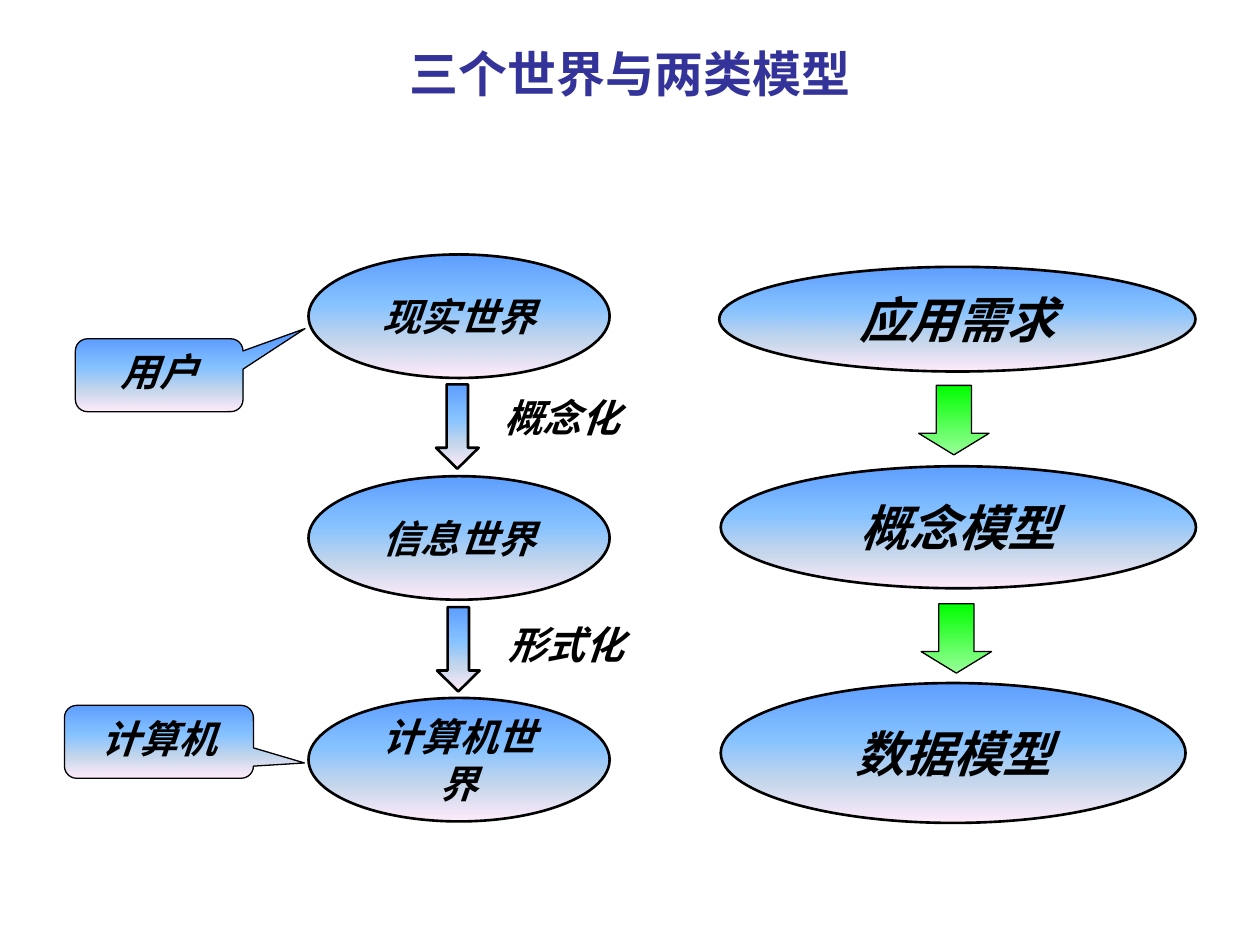
from dataclasses import dataclass

from pptx import Presentation
from pptx.dml.color import RGBColor
from pptx.enum.shapes import MSO_SHAPE
from pptx.enum.text import MSO_ANCHOR, PP_ALIGN
from pptx.oxml.ns import qn
from pptx.shapes.autoshape import Shape
from pptx.slide import Slide
from pptx.util import Cm, Pt
from lxml.etree import SubElement


@dataclass(frozen=True)
class Theme:
    ink: str = "000000"
    title: str = "333399"
    sky: tuple = ((0, "5E9EFF"), (40, "85C2FF"), (70, "C4D6EB"), (100, "FFEBFA"))
    green: tuple = ((0, "00FF00"), (100, "99FF99"))
    sans: str = "Arial"
    han: str = "Noto Sans CJK SC"
    big: int = 28
    small: int = 22
    thick: float = 1.5
    thin: float = 0.75


THEME = Theme()


@dataclass(frozen=True)
class Box:
    """Left, top, width and height in centimetres."""
    left: float
    top: float
    width: float
    height: float

    def place(self) -> tuple:
        return Cm(self.left), Cm(self.top), Cm(self.width), Cm(self.height)


@dataclass(frozen=True)
class Node:
    text: str
    box: Box
    size: int


@dataclass(frozen=True)
class Arrow:
    box: Box
    stops: tuple
    line: float
    head: float


@dataclass(frozen=True)
class Callout:
    text: str
    box: Box
    tip: tuple


def shade(shape: Shape, stops: tuple) -> None:
    """Fill from top to bottom with (percent, colour) stops."""
    shape.fill.gradient()
    shape.fill.gradient_angle = 270
    bands = shape._element.spPr.find(qn("a:gradFill")).find(qn("a:gsLst"))
    for old in list(bands):
        bands.remove(old)
    for at, color in stops:
        stop = SubElement(bands, qn("a:gs"), pos=str(at * 1000))
        SubElement(stop, qn("a:srgbClr"), val=color)


def write(shape: Shape, text: str, size: int, font: str, color: str = THEME.ink,
          italic: bool = True, anchor: MSO_ANCHOR = MSO_ANCHOR.TOP) -> None:
    frame = shape.text_frame
    frame.word_wrap = True
    frame.vertical_anchor = anchor
    para = frame.paragraphs[0]
    para.text = text
    para.alignment = PP_ALIGN.CENTER
    para.font.name = font
    para.font.size = Pt(size)
    para.font.bold = True
    para.font.italic = italic
    para.font.color.rgb = RGBColor.from_string(color)


def add_form(slide: Slide, kind: MSO_SHAPE, box: Box, stops: tuple,
             line: float) -> Shape:
    shape = slide.shapes.add_shape(kind, *box.place())
    shape.shadow.inherit = False
    shade(shape, stops)
    shape.line.color.rgb = RGBColor.from_string(THEME.ink)
    shape.line.width = Pt(line)
    return shape


def add_node(slide: Slide, node: Node) -> None:
    shape = add_form(slide, MSO_SHAPE.OVAL, node.box, THEME.sky, THEME.thick)
    write(shape, node.text, node.size, THEME.han, anchor=MSO_ANCHOR.MIDDLE)


def add_arrow(slide: Slide, arrow: Arrow) -> None:
    shape = add_form(slide, MSO_SHAPE.DOWN_ARROW, arrow.box, arrow.stops, arrow.line)
    shape.adjustments[0] = 0.5
    shape.adjustments[1] = arrow.head


def add_callout(slide: Slide, call: Callout) -> None:
    shape = add_form(slide, MSO_SHAPE.ROUNDED_RECTANGULAR_CALLOUT, call.box,
                     THEME.sky, THEME.thin)
    shape.adjustments[0], shape.adjustments[1] = call.tip
    write(shape, call.text, THEME.small, THEME.sans)


def add_label(slide: Slide, text: str, box: Box) -> None:
    label = slide.shapes.add_textbox(*box.place())
    frame = label.text_frame
    frame.margin_left = frame.margin_right = 0
    frame.margin_top = frame.margin_bottom = 0
    write(label, text, THEME.small, THEME.han)
    frame.word_wrap = False


WORLDS = [Node(text, Box(6.22, 5.13 + 4.47 * row, 6.07, 2.49), THEME.small)
          for row, text in enumerate(("现实世界", "信息世界", "计算机世界"))]
MODELS = [
    Node("应用需求", Box(14.5, 5.38, 9.6, 2.11), THEME.big),
    Node("概念模型", Box(14.53, 9.4, 9.58, 2.46), THEME.big),
    Node("数据模型", Box(14.53, 13.77, 9.37, 2.82), THEME.big),
]
ARROWS = [
    *(Arrow(Box(left, top, 0.86, 1.7), THEME.sky, THEME.thick, 0.49)
      for left, top in ((8.79, 7.75), (8.81, 12.24))),
    *(Arrow(Box(left, top, 1.42, 1.4), THEME.green, THEME.thin, 0.31)
      for left, top in ((18.52, 7.77), (18.57, 12.17))),
]
LABELS = [
    ("概念化", Box(10.16, 7.95, 2.34, 0.94)),
    ("形式化", Box(10.24, 12.52, 2.34, 0.94)),
]
CALLOUTS = [
    Callout("用户", Box(1.52, 6.83, 3.38, 1.47), (0.87, -0.64)),
    Callout("计算机", Box(1.3, 14.22, 3.81, 1.47), (0.77, 0.29)),
]


def main() -> None:
    deck = Presentation()
    deck.slide_width, deck.slide_height = Cm(25.4), Cm(19.05)
    slide = deck.slides.add_slide(deck.slide_layouts[6])
    title = slide.shapes.add_textbox(*Box(1.27, 0.76, 22.86, 3.18).place())
    write(title, "三个世界与两类模型", THEME.big, THEME.sans, THEME.title, italic=False)
    for node in WORLDS + MODELS:
        add_node(slide, node)
    for arrow in ARROWS:
        add_arrow(slide, arrow)
    for text, box in LABELS:
        add_label(slide, text, box)
    for call in CALLOUTS:
        add_callout(slide, call)
    deck.save("out.pptx")


if __name__ == "__main__":
    main()
